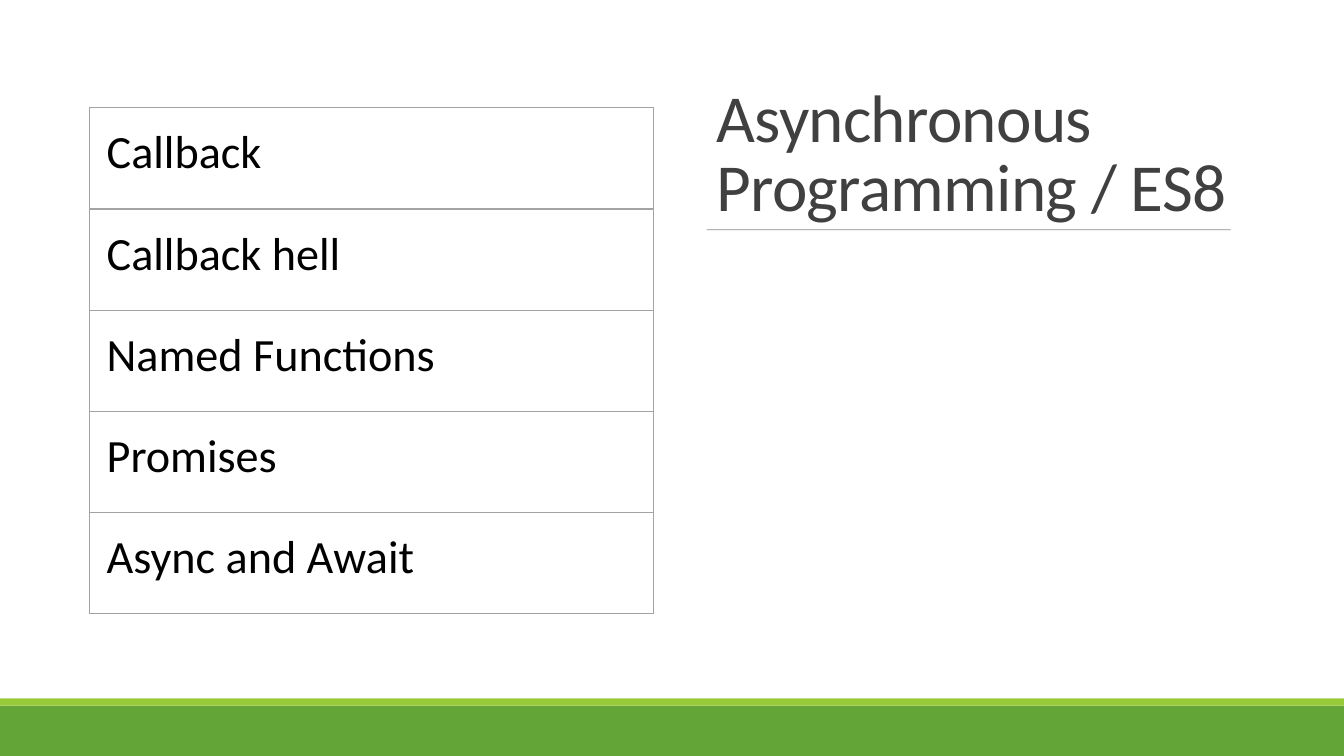
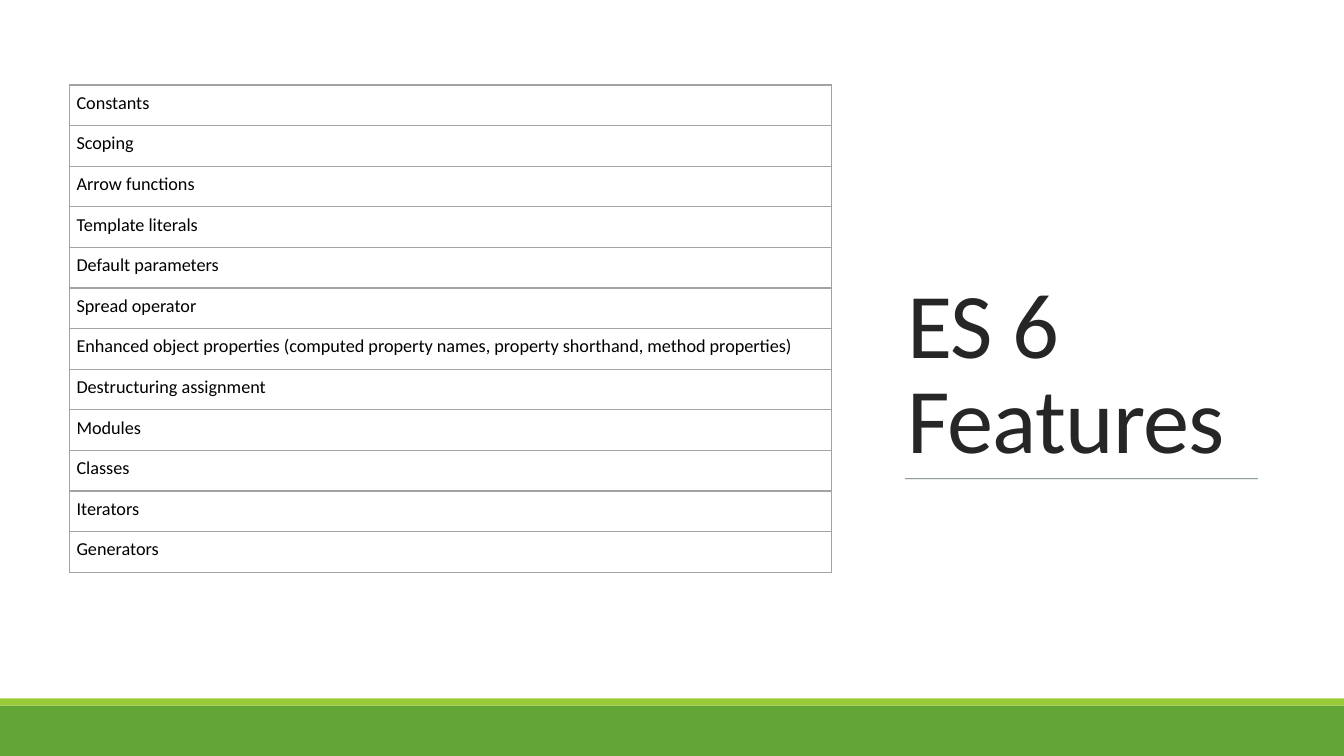
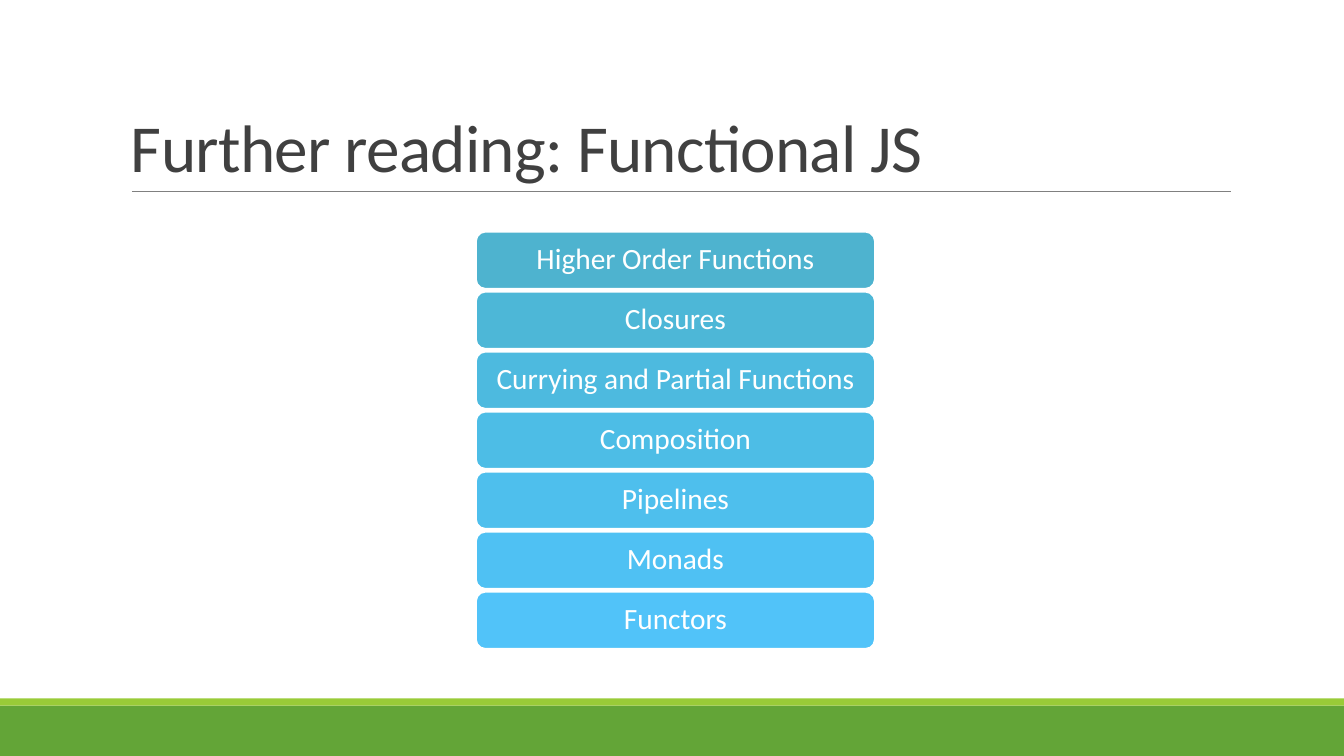
import lxml.etree
import pptx
import pptx.dml.color
import pptx.enum.shapes
import pptx.enum.text
import pptx.oxml.ns
import pptx.util

Pt = pptx.util.Pt
RGB = pptx.dml.color.RGBColor
qn = pptx.oxml.ns.qn
Sub = lxml.etree.SubElement
SHAPE = pptx.enum.shapes.MSO_SHAPE
ANCHOR = pptx.enum.text.MSO_ANCHOR

FONT = "Calibri"
GREEN = RGB(0x63, 0xA5, 0x37)
LIME = RGB(0x99, 0xCB, 0x38)
WHITE = RGB(0xFF, 0xFF, 0xFF)
BLACK = RGB(0x00, 0x00, 0x00)
DARK = RGB(0x26, 0x26, 0x26)
GREY = RGB(0x40, 0x40, 0x40)
RULE = RGB(0x80, 0x80, 0x80)
MOSS = RGB(0x45, 0x5F, 0x51)
EDGE = RGB(0xA3, 0xA3, 0xA3)
BLUES = [
    RGB(0x4E, 0xB3, 0xCF), RGB(0x4D, 0xB7, 0xD7), RGB(0x4D, 0xBA, 0xDF),
    RGB(0x4D, 0xBD, 0xE6), RGB(0x4E, 0xBF, 0xED), RGB(0x4F, 0xC1, 0xF3),
    RGB(0x51, 0xC3, 0xF9),
]

deck = pptx.Presentation()
deck.slide_width, deck.slide_height = Pt(960), Pt(540)


def write(frame, text, size, color):
    """Put one styled paragraph in a text frame and return it."""
    frame.text = text
    para = frame.paragraphs[0]
    font = para.runs[0].font
    font.name, font.size, font.color.rgb = FONT, Pt(size), color
    return para


def start(title, box, size, color, rule, tint, alpha):
    """Add a slide with its bands, title and the rule below the title."""
    slide = deck.slides.add_slide(deck.slide_layouts[6])
    for top, high, fill in [(504, 36, GREEN), (498.96, 5.04, LIME)]:
        band = slide.shapes.add_shape(
            SHAPE.RECTANGLE, 0, Pt(top), deck.slide_width, Pt(high))
        band.shadow.inherit = False
        band.fill.solid()
        band.fill.fore_color.rgb = fill
        band.line.fill.background()

    frame = slide.shapes.add_textbox(*map(Pt, box)).text_frame
    frame.word_wrap = True
    frame.vertical_anchor = ANCHOR.BOTTOM
    para = write(frame, title, size, color)
    para.line_spacing = 0.85
    para.runs[0].font._element.set("spc", "-50")

    left, right, level = rule
    line = slide.shapes.add_connector(
        pptx.enum.shapes.MSO_CONNECTOR.STRAIGHT,
        Pt(left), Pt(level), Pt(right), Pt(level))
    line.line.width = Pt(0.5)
    line.line.color.rgb = tint
    props = line._element.spPr
    shade = next(props.iter(qn("a:srgbClr")))
    Sub(shade, qn("a:alpha"), val=str(alpha * 1000))
    Sub(props, qn("a:effectLst"))
    return slide


async_page = start("Asynchronous Programming / ES8", (504.7, 49.7, 404, 114.5),
                   48, GREY, (504.7, 879, 164.2), RULE, 90)
es_page = start("ES 6 Features", (640.8, 50.4, 267.8, 290.2),
                66, DARK, (646.5, 898.5, 342), MOSS, 90)
js_page = start("Further reading: Functional JS", (86.4, 22.3, 792, 114.5),
                48, GREY, (94.3, 879, 136.8), RULE, 100)

# Topic tables
topics = ["Callback", "Callback hell", "Named Functions", "Promises",
          "Async and Await"]
traits = [
    "Constants", "Scoping", "Arrow functions", "Template literals",
    "Default parameters", "Spread operator",
    "Enhanced object properties (computed property names, "
    "property shorthand, method properties)",
    "Destructuring assignment", "Modules", "Classes", "Iterators",
    "Generators",
]
for slide, items, left, top, wide, high, size, inset in [
    (async_page, topics, 64, 77, 402.7, 72.3, 33, 12.2),
    (es_page, traits, 49.7, 60.7, 544.3, 29, 13, 5),
]:
    table = slide.shapes.add_table(
        len(items), 1, Pt(left), Pt(top), Pt(wide),
        Pt(high * len(items))).table
    table.first_row = table.horz_banding = False
    for index, item in enumerate(items):
        table.rows[index].height = Pt(high)
        cell = table.cell(index, 0)
        cell.margin_left = cell.margin_right = Pt(inset)
        cell.margin_top = cell.margin_bottom = Pt(inset)
        write(cell.text_frame, item, size, BLACK)
        props = cell._tc.get_or_add_tcPr()
        for side in ("a:lnL", "a:lnR", "a:lnT", "a:lnB"):
            edge = Sub(props, qn(side), w=str(Pt(1)))
            solid = Sub(edge, qn("a:solidFill"))
            Sub(solid, qn("a:srgbClr"), val=str(EDGE))
        cell.fill.background()

# Stack of reading topics
reads = ["Higher Order Functions", "Closures",
         "Currying and Partial Functions", "Composition", "Pipelines",
         "Monads", "Functors"]
for index, (item, blue) in enumerate(zip(reads, BLUES)):
    bar = js_page.shapes.add_shape(
        SHAPE.ROUNDED_RECTANGLE, Pt(340), Pt(165.5 + 42.86 * index),
        Pt(285), Pt(40.8))
    bar.shadow.inherit = False
    bar.fill.solid()
    bar.fill.fore_color.rgb = blue
    bar.line.color.rgb = WHITE
    bar.line.width = Pt(1.25)
    frame = bar.text_frame
    frame.word_wrap = True
    frame.vertical_anchor = ANCHOR.MIDDLE
    frame.margin_left = frame.margin_right = Pt(6.3)
    frame.margin_top = frame.margin_bottom = Pt(3.15)
    para = write(frame, item, 21, WHITE)
    para.alignment = pptx.enum.text.PP_ALIGN.CENTER
    para.line_spacing = 0.9

deck.save("out.pptx")
